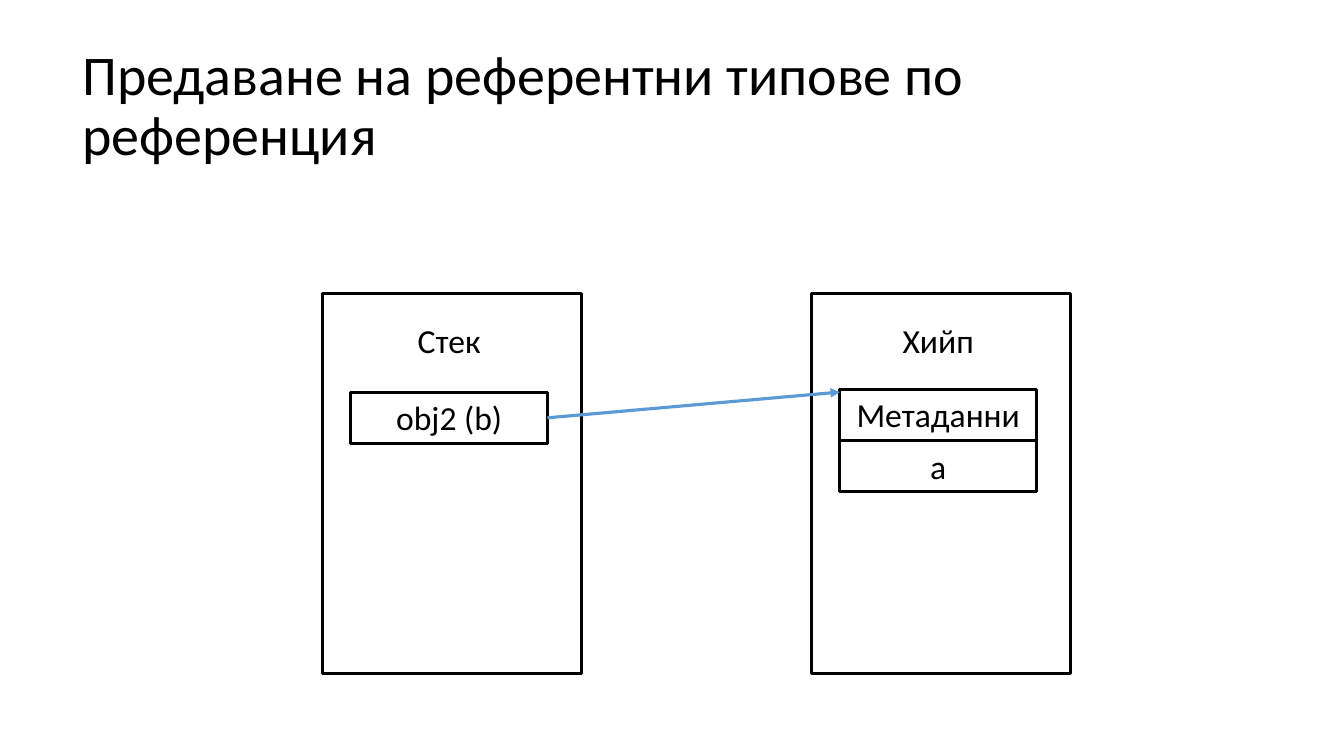
from lxml import etree
from pptx import Presentation
from pptx import util as u
from pptx.dml.color import RGBColor
from pptx.enum import shapes, text
from pptx.oxml.ns import qn

COLORS = {"ink": "000000", "paper": "FFFFFF", "arrow": "5B9BD5"}
FONT = "Calibri"
LINE_WIDTH = u.Pt(2.25)
CELL_WIDTH, CELL_HEIGHT = 1.95, 0.51
CELL_INSET = 0.28
LABEL_DROP = 0.21


def color(name):
    return RGBColor.from_string(COLORS[name])


def write(shape, words, size=24, align=text.PP_ALIGN.CENTER,
          anchor=text.MSO_ANCHOR.TOP, spacing=1.0):
    frame = shape.text_frame
    frame.word_wrap = True
    frame.vertical_anchor = anchor
    para = frame.paragraphs[0]
    para.alignment = align
    para.line_spacing = spacing
    span = para.add_run()
    span.text = words
    span.font.name = FONT
    span.font.size = u.Pt(size)
    span.font.color.rgb = color("ink")


def add_box(page, left, top, width, height, fill=None, line="ink"):
    box = page.shapes.add_shape(shapes.MSO_SHAPE.RECTANGLE,
                                *map(u.Inches, (left, top, width, height)))
    box.shadow.inherit = False
    if fill:
        box.fill.solid()
        box.fill.fore_color.rgb = color(fill)
    else:
        box.fill.background()
    box.line.color.rgb = color(line)
    box.line.width = LINE_WIDTH
    return box


def add_title(page, words, left, top, width, height):
    box = page.shapes.add_textbox(*map(u.Inches, (left, top, width, height)))
    write(box, words, size=40, align=text.PP_ALIGN.LEFT,
          anchor=text.MSO_ANCHOR.MIDDLE, spacing=0.9)


def add_memory(page, label, cells, cells_drop, left, top, width, height):
    """Draw a memory area with its label and stacked cells; return the cells."""
    add_box(page, left, top, width, height, fill="paper")
    cell_left = left + CELL_INSET
    label_box = add_box(page, cell_left, top + LABEL_DROP,
                        CELL_WIDTH, CELL_HEIGHT, line="paper")
    write(label_box, label)
    drawn = []
    for row, words in enumerate(cells):
        cell = add_box(page, cell_left, top + cells_drop + row * CELL_HEIGHT,
                       CELL_WIDTH, CELL_HEIGHT)
        write(cell, words)
        drawn.append(cell)
    return drawn


def add_reference(page, source, target):
    """Point from the middle of the source's right side to the target's top left."""
    arrow = page.shapes.add_connector(
        shapes.MSO_CONNECTOR.STRAIGHT,
        source.left + source.width, source.top + source.height // 2,
        target.left, target.top + u.Inches(0.03))
    arrow.line.color.rgb = color("arrow")
    arrow.line.width = LINE_WIDTH
    line = arrow.line._get_or_add_ln()
    etree.SubElement(line, qn("a:tailEnd"), type="triangle")
    etree.SubElement(arrow._element.spPr, qn("a:effectLst"))


def main():
    deck = Presentation()
    deck.slide_width, deck.slide_height = u.Inches(13.33), u.Inches(7.5)
    page = deck.slides.add_slide(deck.slide_layouts[6])

    add_title(page, "Предаване на референтни типове по референция",
              0.72, 0.34, 11.91, 1.45)
    area = {"top": 2.91, "width": 2.57, "height": 3.77}
    stack = add_memory(page, "Стек", ["obj2 (b)"], 0.98, left=3.2, **area)
    heap = add_memory(page, "Хийп", ["Метаданни", "a"], 0.95, left=8.05, **area)
    add_reference(page, stack[0], heap[0])

    deck.save("out.pptx")


if __name__ == "__main__":
    main()
